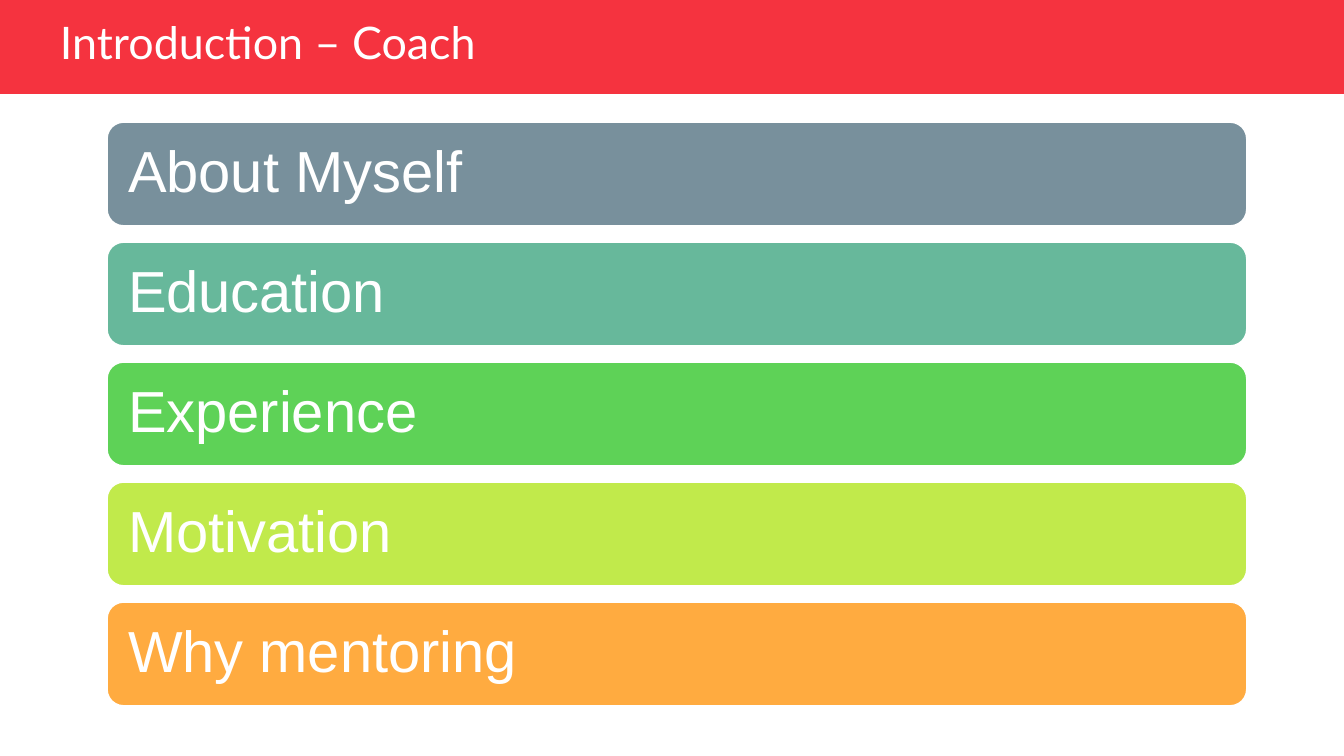
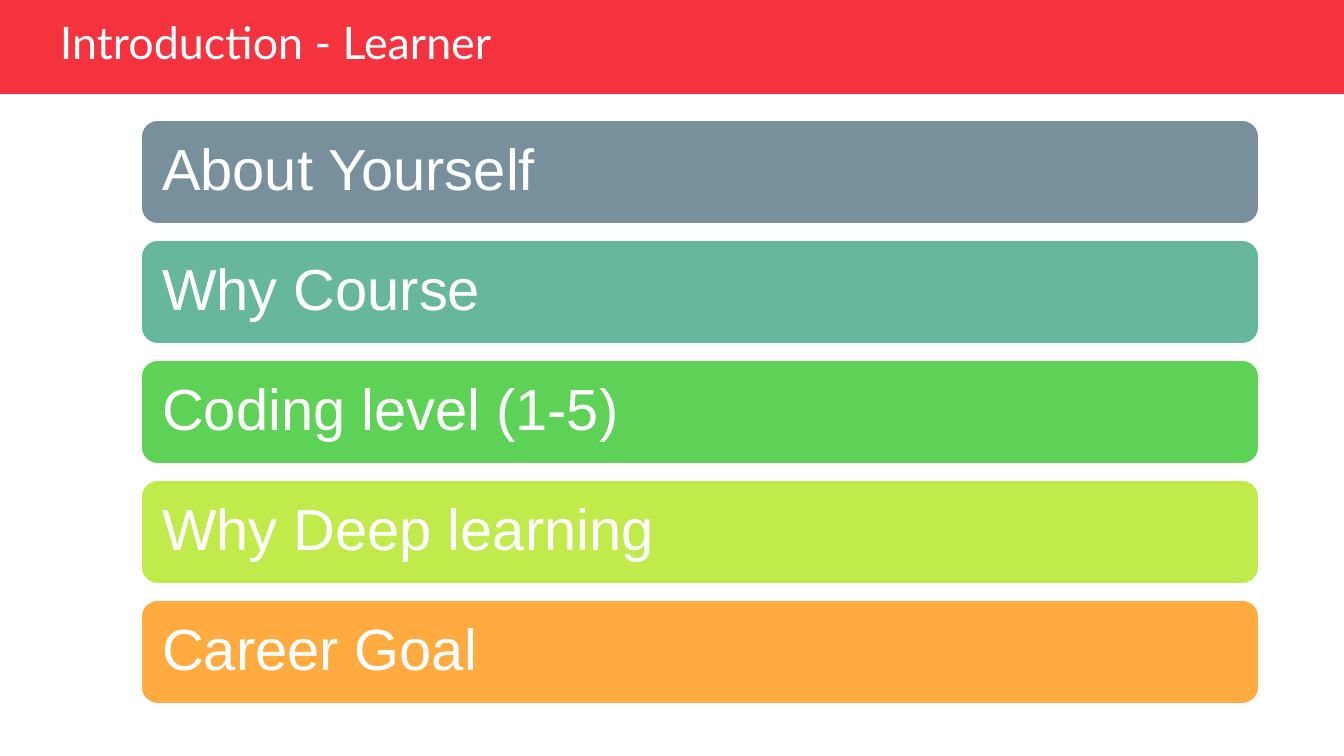
from pptx import Presentation
from pptx.dml.color import RGBColor
from pptx.enum.shapes import MSO_SHAPE
from pptx.enum.text import MSO_ANCHOR, PP_ALIGN
from pptx.util import Pt

PX = 914400 / 134.4
SLIDE_WIDTH, SLIDE_HEIGHT = 1344, 756

WHITE = "FFFFFF"
BAND_RED = "F5333F"
BAR_COLOURS = ["78909C", "67B89B", "5ED257", "C1EA4B", "FFAB40"]

BAR_HEIGHT = 106
BAR_PITCH = 120

TITLE_FONT = {"name": "Lato", "size": Pt(24)}
BAR_FONT = {"name": "Arial", "size": Pt(31)}

# Title, box of the bars (left, top, width), bar labels
SLIDES = [
    ("Introduction – Coach", (106, 121, 1142),
     ["About Myself", "Education", "Experience", "Motivation", "Why mentoring"]),
    ("Introduction - Learner", (140, 119, 1120),
     ["About Yourself", "Why Course", "Coding level (1-5)",
      "Why Deep learning", "Career Goal"]),
]


def px(length):
    return round(length * PX)


def colour(hex_string):
    return RGBColor.from_string(hex_string)


def set_attributes(target, values):
    for name, value in values.items():
        setattr(target, name, value)


def write_text(shape, text, font, inset_x, inset_y):
    frame = shape.text_frame
    set_attributes(frame, {
        "word_wrap": True,
        "vertical_anchor": MSO_ANCHOR.MIDDLE,
        "margin_left": px(inset_x),
        "margin_right": px(inset_x),
        "margin_top": px(inset_y),
        "margin_bottom": px(inset_y),
    })
    paragraph = frame.paragraphs[0]
    set_attributes(paragraph, {"alignment": PP_ALIGN.LEFT, "line_spacing": 0.9})
    run = paragraph.add_run()
    run.text = text
    set_attributes(run.font, font)
    run.font.color.rgb = colour(WHITE)


def add_filled_shape(slide, kind, box, fill):
    shape = slide.shapes.add_shape(kind, *map(px, box))
    shape.shadow.inherit = False
    shape.fill.solid()
    shape.fill.fore_color.rgb = colour(fill)
    return shape


def add_title_band(slide, box, title):
    left, top, width, height = box
    band = add_filled_shape(slide, MSO_SHAPE.RECTANGLE, box, BAND_RED)
    band.line.fill.background()
    title_box = slide.shapes.add_textbox(
        px(left + 47), px(top + 17), px(width - 343), px(height - 38))
    write_text(title_box, title, TITLE_FONT, 13, 7)


def add_topic_bars(slide, box, labels):
    left, top, width = box
    for index, (label, fill) in enumerate(zip(labels, BAR_COLOURS)):
        bar_box = (left, top + index * BAR_PITCH, width, BAR_HEIGHT)
        bar = add_filled_shape(slide, MSO_SHAPE.ROUNDED_RECTANGLE, bar_box, fill)
        bar.line.color.rgb = colour(WHITE)
        bar.line.width = Pt(2)
        write_text(bar, label, BAR_FONT, 17, 17)


def add_topic_slide(presentation, title, bars_box, labels):
    slide = presentation.slides.add_slide(presentation.slide_layouts[6])
    add_title_band(slide, (0, 0, SLIDE_WIDTH, 94), title)
    add_topic_bars(slide, bars_box, labels)


def main():
    presentation = Presentation()
    presentation.slide_width = px(SLIDE_WIDTH)
    presentation.slide_height = px(SLIDE_HEIGHT)
    for title, bars_box, labels in SLIDES:
        add_topic_slide(presentation, title, bars_box, labels)
    presentation.save("out.pptx")


if __name__ == "__main__":
    main()
